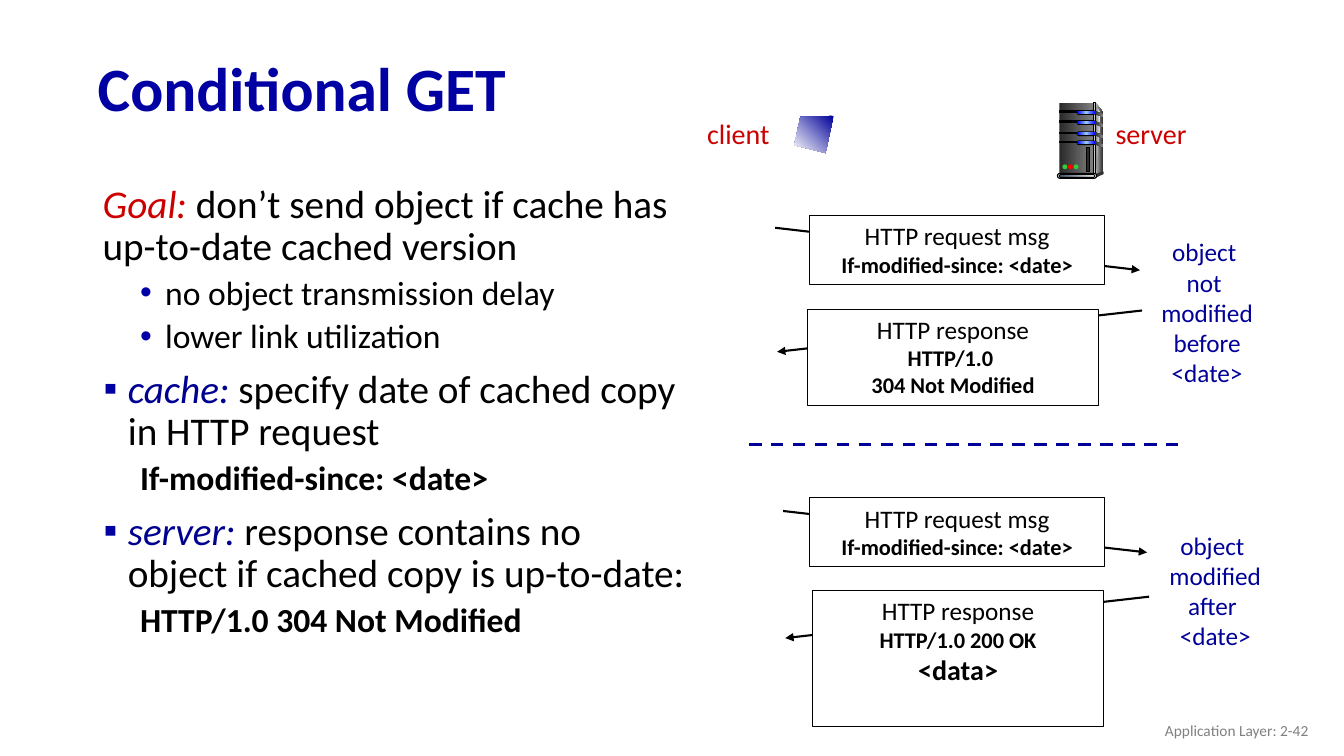
from copy import deepcopy
from dataclasses import dataclass

from lxml.etree import SubElement
from pptx import Presentation
from pptx.dml.color import RGBColor
from pptx.enum.dml import MSO_LINE
from pptx.enum.shapes import MSO_CONNECTOR, MSO_SHAPE
from pptx.enum.text import MSO_ANCHOR, MSO_AUTO_SIZE, PP_ALIGN
from pptx.oxml.ns import qn
from pptx.util import Pt


@dataclass(frozen=True)
class Theme:
    """Font, colours and type sizes of the slide."""
    font: str = "Calibri"
    title: str = "0000A3"
    accent: str = "CC0000"
    term: str = "000090"
    note: str = "000099"
    bullet: str = "0000A8"
    footer: str = "808080"
    black: str = "000000"
    white: str = "FFFFFF"
    dark: str = "333333"
    light: str = "DDDDDD"
    green: str = "33CC33"
    red: str = "FF0000"
    face: tuple = ("292929", "808080")
    rim: tuple = ("808080", "F8F8F8")
    glow: tuple = ("0000FF", "99CCFF", "0000FF")
    base: tuple = ("44546A", "E7E6E6")
    title_size: int = 44
    body_size: int = 28
    sub_size: int = 24
    label_size: int = 20
    message_size: int = 18
    header_size: int = 16
    footer_size: int = 11


THEME = Theme()


def style(font, size, color, bold=False, italic=False):
    """Apply the theme font with the given look."""
    font.name, font.size = THEME.font, Pt(size)
    font.bold, font.italic = bold, italic
    font.color.rgb = RGBColor.from_string(color)


def paint(shape, fill, outline=None, angle=0):
    """Fill a shape with a colour or an evenly spaced gradient."""
    shape.shadow.inherit = False
    if isinstance(fill, str):
        shape.fill.solid()
        shape.fill.fore_color.rgb = RGBColor.from_string(fill)
    else:
        shape.fill.gradient()
        shape.fill.gradient_angle = angle
        stop_list = shape._element.spPr.find(".//" + qn("a:gsLst"))
        for _ in fill[2:]:
            stop_list.append(deepcopy(stop_list[-1]))
        for index, stop in enumerate(shape.fill.gradient_stops):
            stop.position = index / (len(fill) - 1)
            stop.color.rgb = RGBColor.from_string(fill[index])
    if outline:
        shape.line.color.rgb = RGBColor.from_string(outline)
        shape.line.width = Pt(0.75)
    else:
        shape.line.fill.background()


def add_part(shapes, kind, place, fill, outline=None):
    """Add a painted preset shape."""
    part = shapes.add_shape(kind, *map(Pt, place))
    if kind == MSO_SHAPE.ROUNDED_RECTANGLE:
        part.adjustments[0] = 0.5
    paint(part, fill, outline)
    return part


def add_polygon(shapes, points, fill, angle=0):
    """Add a painted closed outline."""
    corners = [(Pt(x), Pt(y)) for x, y in points]
    builder = shapes.build_freeform(*corners[0])
    builder.add_line_segments(corners[1:], close=True)
    paint(builder.convert_to_shape(), fill, angle=angle)


def write_lines(frame, lines, align=PP_ALIGN.CENTER):
    """Write one styled paragraph for each (text, size, colour, bold) line."""
    frame.text = "\n".join(line[0] for line in lines)
    for para, (_, *look) in zip(frame.paragraphs, lines):
        para.alignment = align
        for span in para.runs:
            style(span.font, *look)


def add_text(slide, place, lines, align=PP_ALIGN.CENTER):
    """Add an unwrapped text box."""
    box = slide.shapes.add_textbox(*map(Pt, place))
    box.text_frame.word_wrap = False
    write_lines(box.text_frame, lines, align)
    return box


def add_line(slide, start, end, color, width):
    """Add a straight line without a shadow."""
    line = slide.shapes.add_connector(MSO_CONNECTOR.STRAIGHT, *map(Pt, start + end))
    line.line.color.rgb = RGBColor.from_string(color)
    line.line.width = Pt(width)
    SubElement(line._element.spPr, qn("a:effectLst"))
    return line


def add_message(slide, start, end, place, heading, headers, data=()):
    """Add an arrow with its message box on top."""
    arrow = add_line(slide, start, end, THEME.black, 1.5)
    SubElement(arrow.line._get_or_add_ln(), qn("a:tailEnd"), type="triangle")
    box = add_part(slide.shapes, MSO_SHAPE.RECTANGLE, place, THEME.white, THEME.black)
    box.text_frame.vertical_anchor = MSO_ANCHOR.TOP
    lines = [(heading, THEME.message_size, THEME.black)]
    lines += [(text, THEME.header_size, THEME.black, True) for text in headers]
    lines += [(text, THEME.label_size, THEME.black, True) for text in data]
    write_lines(box.text_frame, lines)


def add_note(slide, place, words):
    """Add the state of the object beside an exchange."""
    add_text(slide, place, [(word, THEME.message_size, THEME.note) for word in words])


def add_title(slide, text):
    """Place and format the title placeholder."""
    title = slide.shapes.title
    title.left, title.top, title.width, title.height = map(Pt, (62.6, 30.2, 828, 70.6))
    title.text_frame.vertical_anchor = MSO_ANCHOR.MIDDLE
    title.text_frame.auto_size = MSO_AUTO_SIZE.NONE
    write_lines(title.text_frame, [(text, THEME.title_size, THEME.title, True)], PP_ALIGN.LEFT)
    title.text_frame.paragraphs[0].line_spacing = 0.9


def add_body_paragraph(para, spans, margin, indent, bullet=None, bullet_color=None):
    """Write an indented paragraph with an optional bullet."""
    para.line_spacing = 0.9
    properties = para._p.get_or_add_pPr()
    properties.set("marL", str(Pt(margin)))
    properties.set("indent", str(Pt(indent)))
    if bullet:
        SubElement(SubElement(properties, qn("a:buClr")), qn("a:srgbClr"), val=bullet_color)
        SubElement(properties, qn("a:buFont"), typeface="Arial")
        SubElement(properties, qn("a:buChar"), char=bullet)
    for text, *look in spans:
        span = para.add_run()
        span.text = text
        style(span.font, *look)


def add_body(slide):
    """Add the goal and the two roles."""
    frame = slide.shapes.add_textbox(*map(Pt, (56.2, 128.2, 440.6, 404))).text_frame
    frame.word_wrap = True

    def main_point(term, color, text):
        return [(term, THEME.body_size, color, False, True), (text, THEME.body_size, THEME.black)]

    def sub_point(text, bold=False):
        return [(text, THEME.sub_size, THEME.black, bold)]

    goal, role, sub = (10, 0), (28, -17.3, "▪", THEME.title), (54.7, -18)
    dot = sub + ("•", THEME.bullet)
    points = [
        (main_point("Goal:", THEME.accent, " don’t send object if cache has up-to-date cached version"), goal),
        (sub_point("no object transmission delay"), dot),
        (sub_point("lower link utilization"), dot),
        (main_point("cache: ", THEME.term, "specify date of cached copy in HTTP request"), role),
        (sub_point("If-modified-since: <date>", True), sub),
        (main_point("server: ", THEME.term, "response contains no object if cached copy is up-to-date:"), role),
        (sub_point("HTTP/1.0 304 Not Modified", True), sub),
    ]
    for index, (spans, layout) in enumerate(points):
        para = frame.add_paragraph() if index else frame.paragraphs[0]
        if index:
            para.space_before = Pt(10 if layout is role else 5)
        add_body_paragraph(para, spans, *layout)


def add_server(slide):
    """Draw the server tower."""
    shapes = slide.shapes.add_group_shape().shapes
    rect, pill, oval = MSO_SHAPE.RECTANGLE, MSO_SHAPE.ROUNDED_RECTANGLE, MSO_SHAPE.OVAL
    add_polygon(shapes, [(782.6, 73.4), (787.7, 79.9), (787.7, 122.4), (781.2, 125.3)], (THEME.light, THEME.dark))
    add_part(shapes, rect, (756.7, 73.4, 24.5, 51.8), THEME.face)
    add_polygon(shapes, [(782.6, 76.3), (786.2, 80.6), (782.6, 123.8)], THEME.rim)
    add_part(shapes, rect, (781.2, 73.4, 1.4, 51.8), (THEME.dark, THEME.light, THEME.dark), THEME.black)
    for top in (79.2, 86.4, 94.3, 100.8):
        add_part(shapes, rect, (756.7, top, 13.7, 1), THEME.black, THEME.black)
        add_part(shapes, pill, (769, top - 0.5, 13.7, 3.4), THEME.black)
        add_part(shapes, pill, (769.5, top, 13, 2.3), THEME.glow)
        add_polygon(shapes, [(782, top), (787.7, top + 2.5), (787.7, top + 4.5), (782, top + 2)], THEME.face)
    add_part(shapes, oval, (787, 122.4, 1.4, 2.2), THEME.dark)
    add_polygon(shapes, [(781.9, 124.6), (781.9, 127.4), (787.7, 124.6), (787.7, 122.4)], THEME.dark)
    add_part(shapes, pill, (755.3, 123.8, 28.1, 3.6), THEME.light, THEME.black)
    add_part(shapes, pill, (756.7, 124.6, 25.2, 2.2), THEME.base, THEME.black)
    for index, color in enumerate((THEME.green, THEME.red, THEME.green)):
        add_part(shapes, oval, (758.9 + 4 * index, 117.4, 3.5, 3.5), color)
    add_part(shapes, rect, (776.2, 105.1, 2.2, 17.3), THEME.face[0], THEME.black)


def main():
    """Build and save the slide."""
    deck = Presentation()
    deck.slide_width, deck.slide_height = Pt(960), Pt(540)
    slide = deck.slides.add_slide(deck.slide_layouts[5])
    add_title(slide, "Conditional GET")
    footer = [("Application Layer: 2-42", THEME.footer_size, THEME.footer)]
    box = add_text(slide, (725.8, 507.6, 216, 28.8), footer, PP_ALIGN.RIGHT)
    box.text_frame.word_wrap = True
    box.text_frame.vertical_anchor = MSO_ANCHOR.MIDDLE
    add_body(slide)
    request = ("HTTP request msg", ["If-modified-since: <date>"])
    add_message(slide, (553.7, 162.7), (814.3, 193), (578.2, 154.1, 211, 49), *request)
    add_message(slide, (815.8, 221.8), (555.1, 251.3), (576.7, 221, 208.1, 68.4),
                "HTTP response", ["HTTP/1.0 ", "304 Not Modified"])
    add_note(slide, (820.8, 165.6, 82.8, 115.2), ["object ", "not ", "modified", "before", "<date>"])
    divider = add_line(slide, (535, 317.5), (842.4, 317.5), THEME.note, 2.25)
    divider.line.dash_style = MSO_LINE.DASH
    add_message(slide, (559.4, 365), (819.4, 394.6), (578.2, 355.7, 211, 49), *request)
    add_message(slide, (820.8, 426.2), (560.9, 455.8), (580.3, 421.9, 208.1, 97.2),
                "HTTP response", ["HTTP/1.0 200 OK"], ["<data>"])
    add_note(slide, (826.6, 375.1, 82.8, 93.6), ["object ", "modified", "after ", "<date>"])
    for name, left, width in (("client", 496.8, 61.2), ("server", 789.1, 66.2)):
        add_text(slide, (left, 79.9, width, 31.5), [(name, THEME.label_size, THEME.accent)])
    add_server(slide)
    screen = [(595.4, 82.8), (571.7, 83.5), (567.4, 103.7), (589.7, 109.4)]
    add_polygon(slide.shapes, screen, (THEME.note, THEME.white), 225)
    deck.save("out.pptx")


if __name__ == "__main__":
    main()
